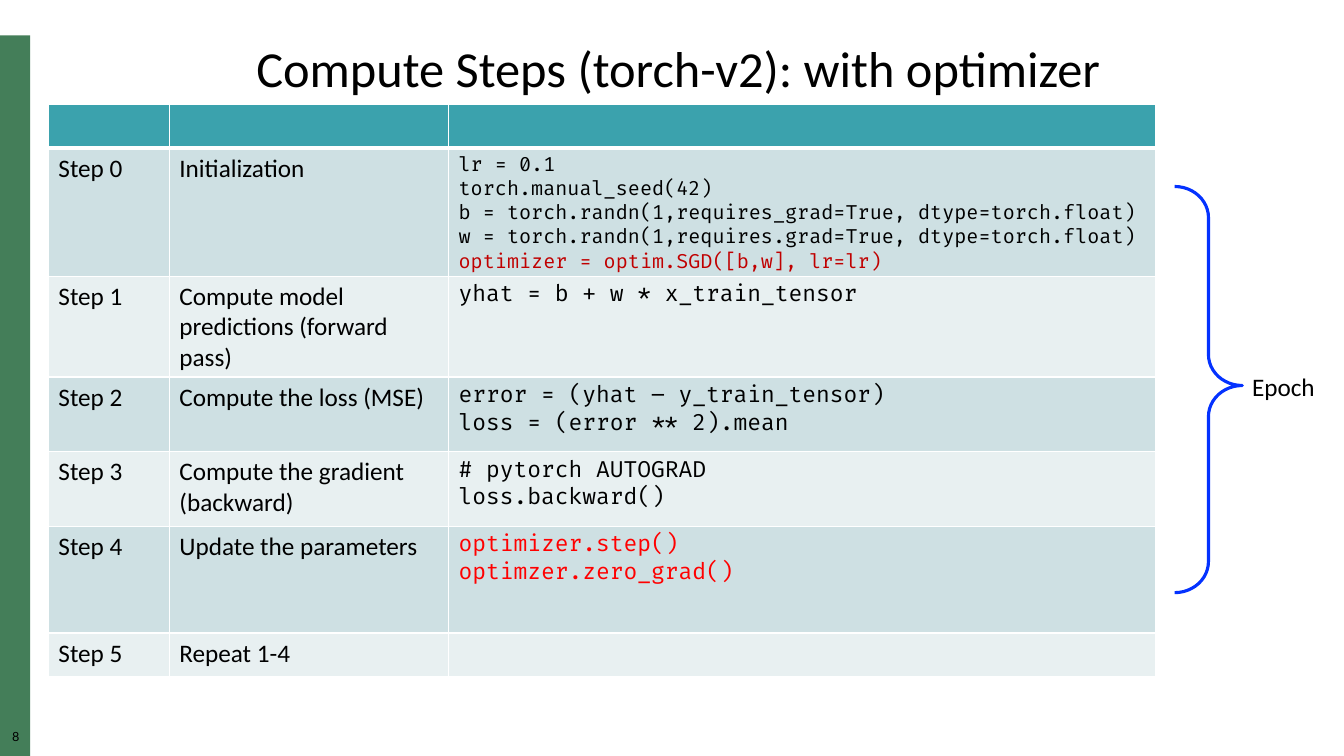
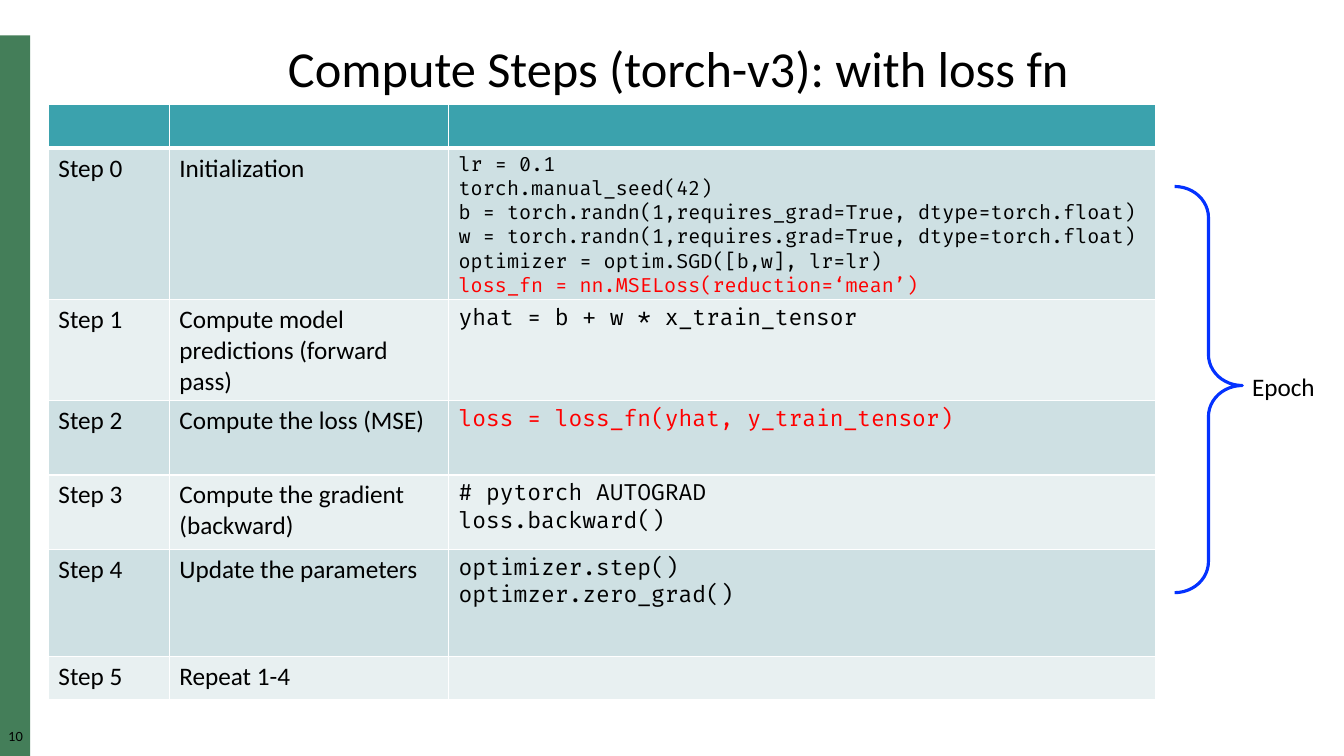
from dataclasses import dataclass
from lxml.etree import SubElement
from pptx import Presentation
from pptx.dml.color import RGBColor
from pptx.enum.shapes import MSO_SHAPE
from pptx.enum.text import MSO_ANCHOR, PP_ALIGN
from pptx.oxml.ns import qn
from pptx.util import Inches, Pt


@dataclass(frozen=True)
class Theme:
    body: str = "Calibri"
    code: str = "Fira Code"
    number: str = "Lato"
    title_pt: int = 36
    text_pt: int = 18
    code_pt: int = 16
    setup_pt: int = 14
    number_pt: int = 9
    ink: str = "000000"
    white: str = "FFFFFF"
    red: str = "FF0000"
    dark_red: str = "C00000"
    green: str = "447E59"
    header: str = "3BA2AD"
    stripes: tuple = ("E8F0F1", "CEE0E3")
    brace: str = "0432FF"


T = Theme()
W, H = Inches(13.33), Inches(7.5)


def share(x, y, w, h):
    """Turn percentages of the slide into left, top, width, height."""
    return int(W * x / 100), int(H * y / 100), int(W * w / 100), int(H * h / 100)


def write(tf, lines, font, size, align=None, spacing=None):
    """Write (text, colour) lines, one paragraph each."""
    for i, (text, color) in enumerate(lines):
        p = tf.add_paragraph() if i else tf.paragraphs[0]
        p.alignment, p.line_spacing = align, spacing
        r = p.add_run()
        r.text = text
        r.font.name, r.font.size = font, Pt(size)
        r.font.color.rgb = RGBColor.from_string(color)


# Content: what both tables share, and the code that differs
STEPS = ["Initialization", "Compute model predictions (forward pass)",
         "Compute the loss (MSE)", "Compute the gradient (backward)",
         "Update the parameters", "Repeat 1-4"]
SETUP = [(line, T.ink) for line in (
    "lr = 0.1",
    "torch.manual_seed(42)",
    "b = torch.randn(1,requires_grad=True, dtype=torch.float)",
    "w = torch.randn(1,requires.grad=True, dtype=torch.float)")]
OPTIMIZER = "optimizer = optim.SGD([b,w], lr=lr)"
PREDICT = [("yhat = b + w * x_train_tensor", T.ink)]
GRADIENT = [("# pytorch AUTOGRAD", T.ink), ("loss.backward()", T.ink)]
UPDATE = ["optimizer.step()", "optimzer.zero_grad()"]

SLIDES = [
    ("8", "Compute Steps (torch-v2): with optimizer", [
        SETUP + [(OPTIMIZER, T.dark_red)],
        PREDICT,
        [("error = (yhat – y_train_tensor)", T.ink), ("loss = (error ** 2).mean", T.ink)],
        GRADIENT,
        [(line, T.red) for line in UPDATE],
        []]),
    ("10", "Compute Steps (torch-v3): with loss fn", [
        SETUP + [(OPTIMIZER, T.ink), ("loss_fn = nn.MSELoss(reduction=‘mean’)", T.red)],
        PREDICT,
        [("loss = loss_fn(yhat, y_train_tensor)", T.red)],
        GRADIENT,
        [(line, T.ink) for line in UPDATE],
        []]),
]
COLS = [9, 20.78, 52.59]
ROWS = [5.73, 16.93, 13.33, 9.87, 9.87, 14.13, 5.73]

prs = Presentation()
prs.slide_width, prs.slide_height = W, H
layout = prs.slide_layouts.get_by_name("Title Only")

for number, title, code in SLIDES:
    s = prs.slides.add_slide(layout)

    # Side band: drawn once, then moved to the layout
    if number == SLIDES[0][0]:
        band = s.shapes.add_shape(MSO_SHAPE.RECTANGLE, *share(0, 4.67, 2.25, 95.33))
        band.shadow.inherit = False
        band.fill.solid()
        band.fill.fore_color.rgb = RGBColor.from_string(T.green)
        band.line.fill.background()
        layout.shapes.element.append(band.element)

    # Slide number
    tf = s.shapes.add_textbox(*share(0, 96.67, 2.33, 2.27)).text_frame
    tf.word_wrap = True
    tf.margin_left = tf.margin_right = tf.margin_top = tf.margin_bottom = 0
    write(tf, [(number, T.ink)], T.number, T.number_pt, PP_ALIGN.CENTER, 0.9)

    # Title
    sp = s.shapes.title
    sp.left, sp.top, sp.width, sp.height = share(3.6, 5.07, 93.77, 8.8)
    sp.text_frame.vertical_anchor = MSO_ANCHOR.MIDDLE
    write(sp.text_frame, [(title, T.ink)], T.body, T.title_pt, PP_ALIGN.CENTER, 0.9)

    # Table of steps
    table = s.shapes.add_table(len(ROWS), len(COLS),
                               *share(3.6, 13.87, sum(COLS), sum(ROWS))).table
    for column, width in zip(table.columns, COLS):
        column.width = int(W * width / 100)
    for i, (row, height) in enumerate(zip(table.rows, ROWS)):
        row.height = int(H * height / 100)
        for cell in row.cells:
            # Thin white rules, with a thick one under the header
            tcPr = cell._tc.get_or_add_tcPr()
            for side, pt in (("lnL", 1), ("lnR", 1), ("lnT", 3 if i == 1 else 1),
                             ("lnB", 3 if i == 0 else 1)):
                ln = SubElement(tcPr, qn(f"a:{side}"), w=str(Pt(pt)))
                fill = SubElement(ln, qn("a:solidFill"))
                SubElement(fill, qn("a:srgbClr"), val=T.white)
            cell.fill.solid()
            cell.fill.fore_color.rgb = RGBColor.from_string(T.stripes[i % 2] if i else T.header)
        if i:
            step, action, listing = (cell.text_frame for cell in row.cells)
            write(step, [(f"Step {i - 1}", T.ink)], T.body, T.text_pt)
            write(action, [(STEPS[i - 1], T.ink)], T.body, T.text_pt)
            write(listing, code[i - 1], T.code, T.setup_pt if i == 1 else T.code_pt)

    # Brace and its label
    brace = s.shapes.add_shape(MSO_SHAPE.RIGHT_BRACE, *share(87.4, 24.67, 5.03, 53.73))
    brace.adjustments[0], brace.adjustments[1] = 0.46, 0.49
    brace.shadow.inherit = False
    brace.fill.background()
    brace.line.color.rgb = RGBColor.from_string(T.brace)
    brace.line.width = Pt(2.25)
    tf = s.shapes.add_textbox(*share(92.42, 48.93, 6.38, 4.93)).text_frame
    tf.word_wrap = False
    write(tf, [("Epoch", T.ink)], T.body, T.text_pt, spacing=0.9)

prs.save("out.pptx")
